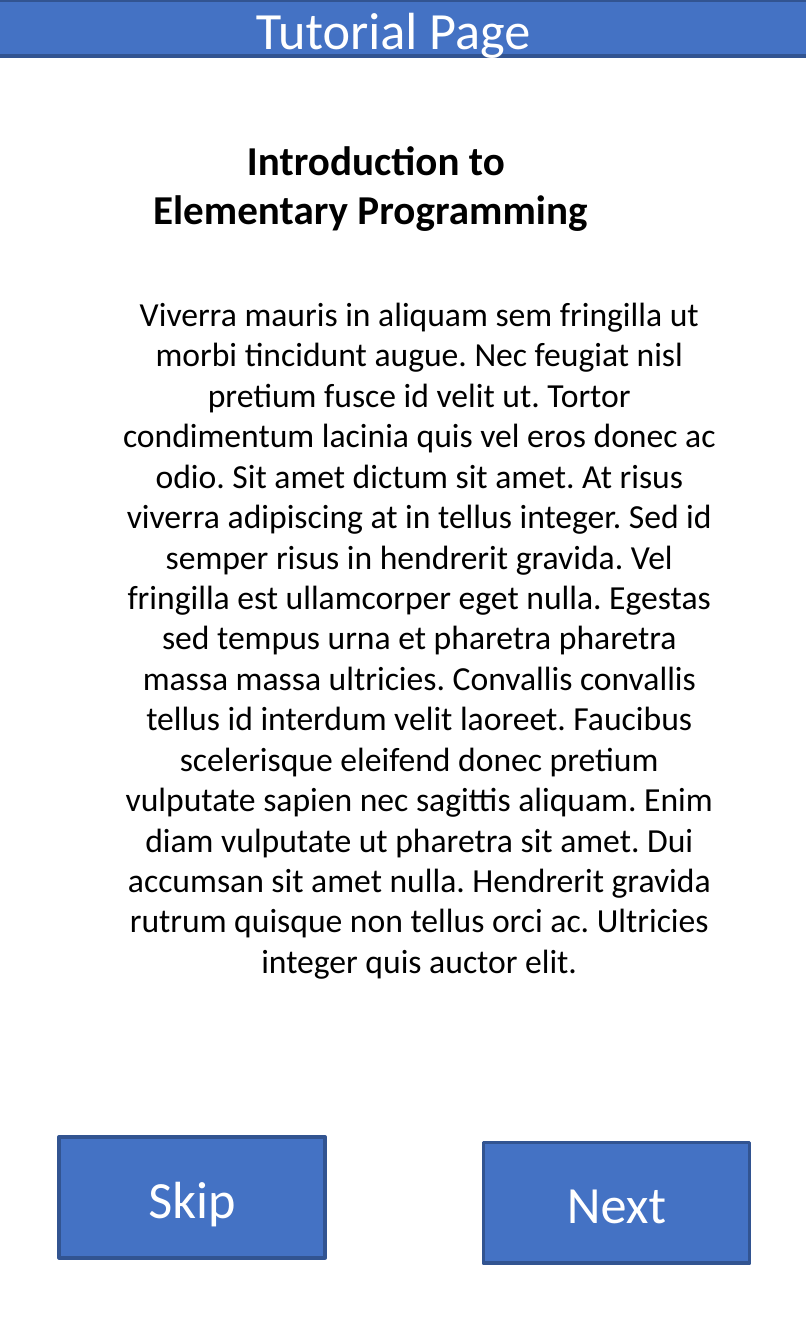
from dataclasses import dataclass

from pptx import Presentation
from pptx.dml.color import RGBColor as RGB
from pptx.enum.shapes import MSO_SHAPE as Form
from pptx.enum.text import MSO_ANCHOR as Anchor, MSO_AUTO_SIZE as Fit, PP_ALIGN as Align
from pptx.util import Inches, Pt


@dataclass(frozen=True)
class Theme:
    font: str = "Calibri"
    fill: RGB = RGB(0x44, 0x72, 0xC4)
    edge: RGB = RGB(0x32, 0x54, 0x91)
    light: RGB = RGB(0xFF, 0xFF, 0xFF)
    dark: RGB = RGB(0, 0, 0)
    label: int = 14
    head: int = 11
    body: int = 9


class Page:
    def __init__(self, slide, theme):
        self.slide = slide
        self.theme = theme

    def letter(self, frame, lines, size, color, bold=False, left=0.1, right=0.1):
        frame.word_wrap = True
        frame.margin_left, frame.margin_right = Inches(left), Inches(right)
        frame.text = "\n".join(lines)
        for para in frame.paragraphs:
            para.alignment = Align.CENTER
            font = para.font
            font.name, font.size, font.bold = self.theme.font, Pt(size), bold
            font.color.rgb = color

    def panel(self, box, label, **inset):
        shape = self.slide.shapes.add_shape(Form.RECTANGLE, *map(Inches, box))
        shape.shadow.inherit = False
        shape.fill.solid()
        shape.fill.fore_color.rgb = self.theme.fill
        shape.line.color.rgb = self.theme.edge
        shape.line.width = Pt(1)
        frame = shape.text_frame
        frame.vertical_anchor = Anchor.MIDDLE
        self.letter(frame, [label], self.theme.label, self.theme.light, **inset)

    def text(self, box, lines, size, **style):
        frame = self.slide.shapes.add_textbox(*map(Inches, box)).text_frame
        self.letter(frame, lines, size, self.theme.dark, **style)
        frame.auto_size = Fit.SHAPE_TO_FIT_TEXT
        return frame


BODY = (
    "Viverra mauris in aliquam sem fringilla ut morbi tincidunt augue. "
    "Nec feugiat nisl pretium fusce id velit ut. "
    "Tortor condimentum lacinia quis vel eros donec ac odio. "
    "Sit amet dictum sit amet. At risus viverra adipiscing at in tellus integer. "
    "Sed id semper risus in hendrerit gravida. "
    "Vel fringilla est ullamcorper eget nulla. "
    "Egestas sed tempus urna et pharetra pharetra massa massa ultricies. "
    "Convallis convallis tellus id interdum velit laoreet. "
    "Faucibus scelerisque eleifend donec pretium vulputate sapien nec sagittis aliquam. "
    "Enim diam vulputate ut pharetra sit amet. Dui accumsan sit amet nulla. "
    "Hendrerit gravida rutrum quisque non tellus orci ac. "
    "Ultricies integer quis auctor elit."
)


def main():
    deck = Presentation()
    deck.slide_width, deck.slide_height = Inches(3), Inches(5)
    theme = Theme()
    page = Page(deck.slides.add_slide(deck.slide_layouts[6]), theme)

    # Title bar, its label set slightly left of centre
    page.panel((-0.01, 0, 3.04, 0.21), "Tutorial Page", right=0.19)

    # Heading, its first line nudged right
    head = page.text((0.46, 0.45, 1.91, 0.47),
                     ["Introduction to", "Elementary Programming"],
                     theme.head, bold=True, left=0.05, right=0.12)
    first = head.paragraphs[0]._p.get_or_add_pPr()
    first.set("marL", str(Inches(0.04)))
    first.set("indent", "0")

    # Body text
    page.text((0.34, 1.04, 2.44, 2.91), [BODY], theme.body)

    # Buttons
    for label, left, top in (("Next", 1.8, 4.25), ("Skip", 0.22, 4.23)):
        page.panel((left, top, 0.99, 0.45), label)

    deck.save("out.pptx")


if __name__ == "__main__":
    main()
